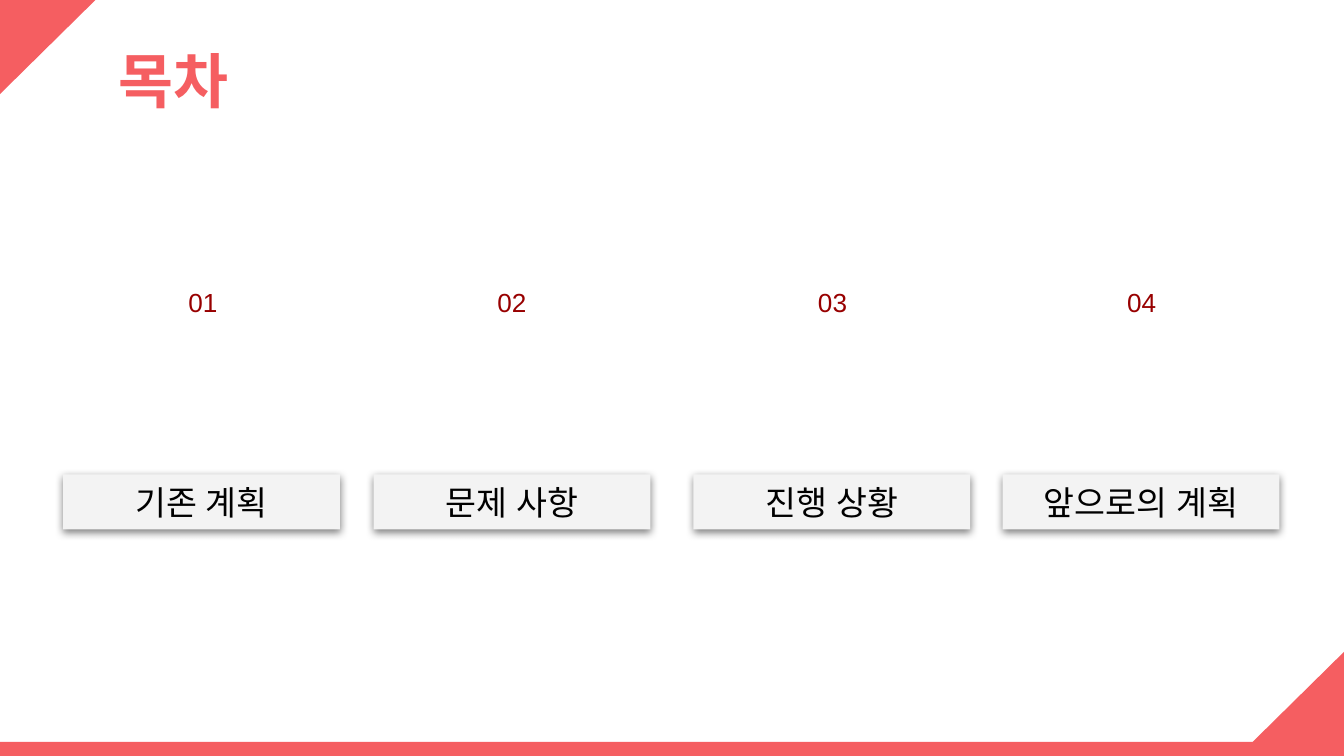
from lxml.etree import SubElement
from pptx import Presentation
from pptx.dml.color import RGBColor
from pptx.enum.shapes import MSO_SHAPE
from pptx.enum.text import MSO_ANCHOR, PP_ALIGN
from pptx.oxml.ns import qn
from pptx.util import Inches, Pt

CORAL, DARK_RED, GRAY, BLACK = "F55E61", "980000", "F3F3F3", "000000"
SLIDE_W = 10
SLIDE_H = SLIDE_W * 9 / 16

TITLE = "목차"
# number, label, label box left, number box left, number box width
SECTIONS = [
    ("01", "기존 계획", 0.47, 0.7, 1.62),
    ("02", "문제 사항", 2.78, 2.88, 1.86),
    ("03", "진행 상황", 5.16, 5.26, 1.87),
    ("04", "앞으로의 계획", 7.46, 7.56, 1.87),
]
# left, top, rotation
CORNERS = [(0, -0.01, 90), (9.29, 4.84, 270)]
LABEL_TOP, LABEL_W, LABEL_H = 3.53, 2.06, 0.41
NUMBER_TOP, NUMBER_H = 2.08, 1.33


def rgb(color):
    return RGBColor.from_string(color)


def add_block(shape_type, x, y, w, h, color):
    sp = s.shapes.add_shape(shape_type, Inches(x), Inches(y), Inches(w), Inches(h))
    sp.shadow.inherit = False
    sp.fill.solid()
    sp.fill.fore_color.rgb = rgb(color)
    sp.line.fill.background()
    return sp


def add_text_box(x, y, w, h):
    return s.shapes.add_textbox(Inches(x), Inches(y), Inches(w), Inches(h))


def set_text(sp, text, size, color, font="Arial", align=PP_ALIGN.CENTER,
             anchor=MSO_ANCHOR.TOP, bold=False):
    tf = sp.text_frame
    tf.word_wrap = True
    tf.vertical_anchor = anchor
    p = tf.paragraphs[0]
    p.alignment = align
    r = p.add_run()
    r.text = text
    r.font.name, r.font.size, r.font.bold = font, Pt(size), bold
    r.font.color.rgb = rgb(color)
    SubElement(r.font._element, qn("a:ea"), typeface=font)  # font for Korean text


def add_drop_shadow(sp):
    effects = sp._element.spPr.find(qn("a:effectLst"))
    shadow = SubElement(effects, qn("a:outerShdw"), blurRad=str(Pt(4.5)),
                        dist=str(Pt(1.5)), dir="5400000", algn="bl", rotWithShape="0")
    color = SubElement(shadow, qn("a:srgbClr"), val=BLACK)
    SubElement(color, qn("a:alpha"), val="50000")


prs = Presentation()
prs.slide_width, prs.slide_height = Inches(SLIDE_W), Inches(SLIDE_H)
s = prs.slides.add_slide(prs.slide_layouts[6])

add_block(MSO_SHAPE.RECTANGLE, 0, 5.52, SLIDE_W, 0.11, CORAL)
for x, y, rotation in CORNERS:
    add_block(MSO_SHAPE.RIGHT_TRIANGLE, x, y, 0.71, 0.72, CORAL).rotation = rotation

title = add_text_box(0.28, 0.25, 9.32, 0.68)
tf = title.text_frame
tf.margin_left = Inches(0.6)
tf.margin_top = tf.margin_bottom = Inches(0.1)
set_text(title, TITLE, 32, CORAL, align=PP_ALIGN.LEFT, anchor=MSO_ANCHOR.MIDDLE, bold=True)

for number, label, left, number_left, number_w in SECTIONS:
    set_text(add_text_box(number_left, NUMBER_TOP, number_w, NUMBER_H), number, 14, DARK_RED)

    box = add_block(MSO_SHAPE.RECTANGLE, left, LABEL_TOP, LABEL_W, LABEL_H, GRAY)
    add_drop_shadow(box)
    set_text(box, label, 18, BLACK, font="Lato", anchor=MSO_ANCHOR.MIDDLE)

prs.save("out.pptx")
